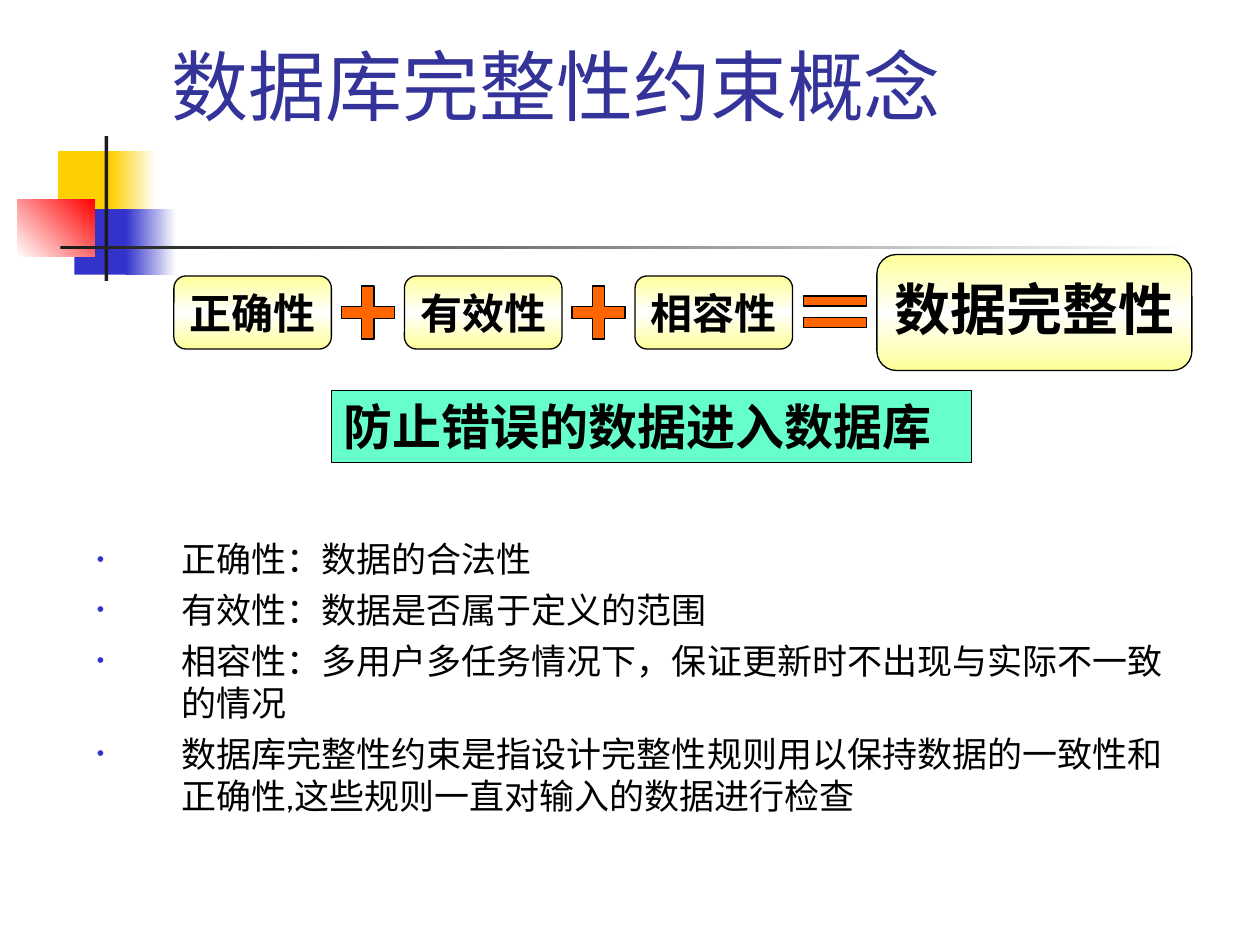
import pptx
import pptx.util
import pptx.dml.color
import pptx.enum.shapes
import pptx.enum.text
import pptx.oxml
import pptx.oxml.ns

Inches, Pt = pptx.util.Inches, pptx.util.Pt
RGB = pptx.dml.color.RGBColor
SHAPE = pptx.enum.shapes.MSO_SHAPE
ALIGN = pptx.enum.text.PP_ALIGN
ANCHOR = pptx.enum.text.MSO_ANCHOR

BLACK, WHITE = RGB(0, 0, 0), RGB(255, 255, 255)
YELLOW, BLUE = RGB(0xFF, 0xCF, 0x01), RGB(0x33, 0x33, 0xCC)
RED, DARK = RGB(0xFF, 0, 0), RGB(0x1C, 0x1C, 0x1C)
CREAM, ORANGE = RGB(0xFF, 0xFF, 0x99), RGB(0xFF, 0x66, 0)
MINT, TITLE = RGB(0x66, 0xFF, 0xCC), RGB(0x33, 0x33, 0x99)

# Equation grid: equal columns, everything centred on one row
LEFT, PITCH, ROW = 1.38, 1.83, 2.48
TERM_W, TERM_H, PLUS = 1.25, 0.58, 0.42
TERMS = ["正确性", "有效性", "相容性"]
POINTS = [
    "正确性：数据的合法性",
    "有效性：数据是否属于定义的范围",
    "相容性：多用户多任务情况下，保证更新时不出现与实际不一致的情况",
    "数据库完整性约束是指设计完整性规则用以保持数据的一致性和正确性,这些规则一直对输入的数据进行检查",
]


def set_gradient(s, colors, angle):
    """Spread the colours evenly along a clockwise angle in degrees."""
    step = 100000 // (len(colors) - 1)
    stops = "".join(
        f'<a:gs pos="{i * step}"><a:srgbClr val="{c}"/></a:gs>'
        for i, c in enumerate(colors))
    s.fill.gradient()
    s.fill.gradient_angle = -angle % 360
    old = s.fill._fill._gradFill.find(pptx.oxml.ns.qn("a:gsLst"))
    new = pptx.oxml.parse_xml(
        f'<a:gsLst {pptx.oxml.ns.nsdecls("a")}>{stops}</a:gsLst>')
    old.getparent().replace(old, new)


def add_box(slide, kind, x, y, w, h, colors, angle=0, outlined=True, adj=None):
    s = slide.shapes.add_shape(kind, Inches(x), Inches(y), Inches(w), Inches(h))
    s.shadow.inherit = False
    if adj is not None:
        s.adjustments[0] = adj
    if len(colors) == 1:
        s.fill.solid()
        s.fill.fore_color.rgb = colors[0]
    else:
        set_gradient(s, colors, angle)
    if outlined:
        s.line.color.rgb = BLACK
        s.line.width = Pt(0.75)
    else:
        s.line.fill.background()
    return s


def add_bullet(p):
    pPr = p._p.get_or_add_pPr()
    pPr.set("marL", str(Inches(0.67)))
    pPr.set("indent", str(-Inches(0.67)))
    for tag in (f'<a:buClr {{}}><a:srgbClr val="{BLUE}"/></a:buClr>',
                '<a:buSzPct {} val="60000"/>',
                '<a:buFont {} typeface="Arial"/>',
                '<a:buChar {} char="•"/>'):
        pPr.append(pptx.oxml.parse_xml(tag.format(pptx.oxml.ns.nsdecls("a"))))


def set_text(s, *lines, size, font="Arial", color=BLACK, bold=False, wrap=True,
             align=ALIGN.LEFT, anchor=ANCHOR.TOP, bullets=False, before=0,
             spacing=None):
    tf = s.text_frame
    tf.word_wrap = wrap
    tf.vertical_anchor = anchor
    for i, line in enumerate(lines):
        p = tf.add_paragraph() if i else tf.paragraphs[0]
        p.alignment = align
        if spacing:
            p.line_spacing = spacing
        if i:
            p.space_before = Pt(before)
        if bullets:
            add_bullet(p)
        r = p.add_run()
        r.text = line
        r.font.name, r.font.size, r.font.bold = font, Pt(size), bold
        r.font.color.rgb = color


def add_text(slide, x, y, w, h, *lines, **fmt):
    tb = slide.shapes.add_textbox(Inches(x), Inches(y), Inches(w), Inches(h))
    set_text(tb, *lines, **fmt)


def add_decoration(slide):
    for x, y, w, h, colors, angle in [
            (0.46, 1.2, 0.48, 0.52, [YELLOW], 0),
            (0.88, 1.2, 0.36, 0.52, [YELLOW, WHITE], 0),
            (0.59, 1.66, 0.46, 0.52, [BLUE], 0),
            (1, 1.66, 0.4, 0.52, [BLUE, WHITE], 0),
            (0.14, 1.58, 0.61, 0.46, [WHITE, RED], 315),
            (0.83, 1.08, 0.03, 1.15, [DARK], 0),
            (0.48, 1.95, 9, 0.03, [DARK, WHITE], 0)]:
        add_box(slide, SHAPE.RECTANGLE, x, y, w, h, colors, angle, outlined=False)


def add_term(slide, text, x, w, h, size, spacing=None):
    s = add_box(slide, SHAPE.ROUNDED_RECTANGLE, x, ROW - h / 2, w, h,
                [CREAM, WHITE, CREAM], 90, adj=0.167)
    set_text(s, text, size=size, bold=True, wrap=False, align=ALIGN.CENTER,
             anchor=ANCHOR.MIDDLE, spacing=spacing)


def add_equation(slide):
    for i, term in enumerate(TERMS):
        x = LEFT + i * PITCH
        add_term(slide, term, x, TERM_W, TERM_H, 24)
        if i:  # plus sign centred in the gap before this term
            add_box(slide, SHAPE.CROSS, x - (PITCH - TERM_W + PLUS) / 2,
                    ROW - PLUS / 2, PLUS, PLUS, [ORANGE], adj=0.383)
    # Equals sign
    for y in (2.35, 2.52):
        add_box(slide, SHAPE.RECTANGLE, 6.38, y, 0.5, 0.08, [ORANGE])
    add_term(slide, "数据完整性", 6.96, 2.5, 0.92, 32, spacing=0.9)


def main():
    prs = pptx.Presentation()
    prs.slide_width, prs.slide_height = Inches(10), Inches(7.5)
    slide = prs.slides.add_slide(prs.slide_layouts[6])

    add_decoration(slide)
    add_text(slide, 1.26, 0.51, 7.67, 0.58, "数据库完整性约束概念", size=44,
             font="Cabin", color=TITLE, anchor=ANCHOR.BOTTOM)
    add_text(slide, 0.67, 4.22, 8.87, 3.03, *POINTS, size=20, font="Cabin",
             bullets=True, before=5)
    add_equation(slide)

    # Purpose banner
    banner = add_box(slide, SHAPE.RECTANGLE, 2.63, 3.1, 5.08, 0.57, [MINT])
    set_text(banner, "防止错误的数据进入数据库", size=28, bold=True)
    prs.save("out.pptx")


if __name__ == "__main__":
    main()
